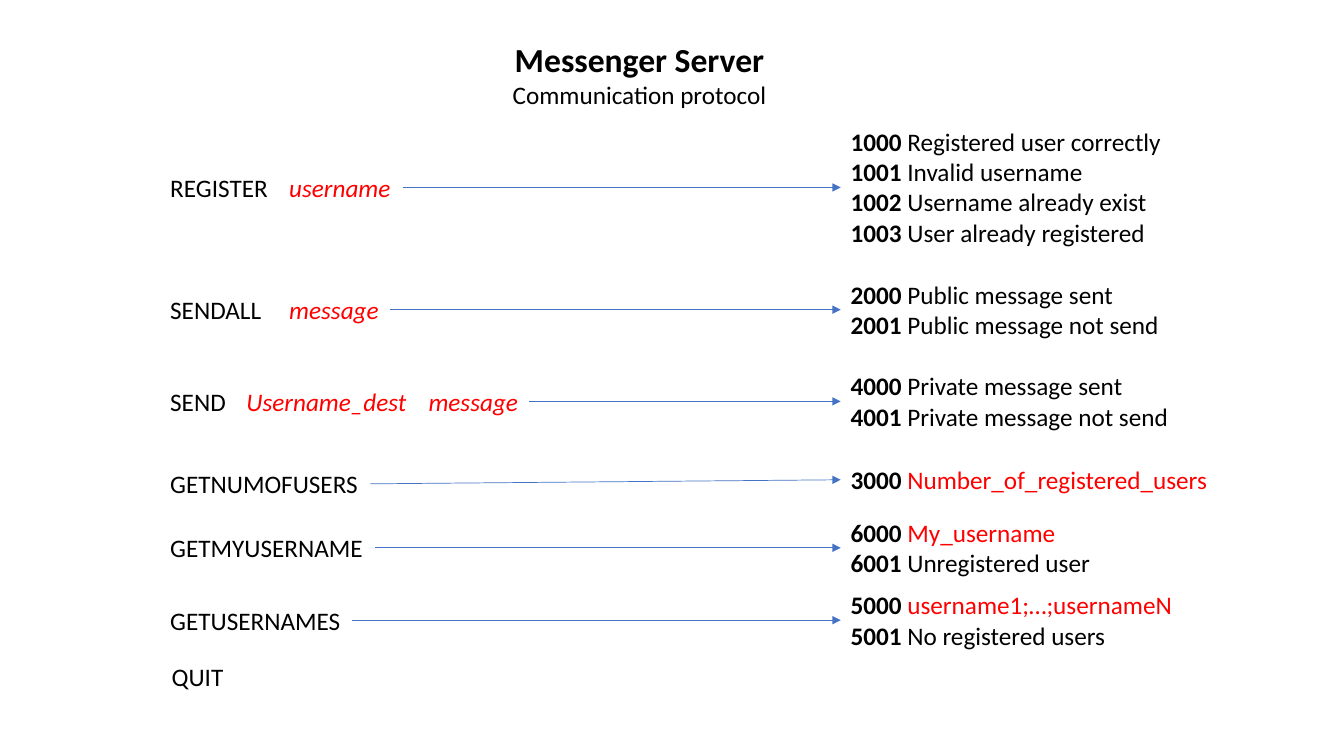
from lxml import etree
from pptx import Presentation
from pptx.dml.color import RGBColor
from pptx.enum.shapes import MSO_CONNECTOR
from pptx.enum.text import MSO_ANCHOR, MSO_AUTO_SIZE, PP_ALIGN
from pptx.oxml.ns import qn
from pptx.util import Pt

STRAIGHT = MSO_CONNECTOR.STRAIGHT
TOP = MSO_ANCHOR.TOP
GROW = MSO_AUTO_SIZE.SHAPE_TO_FIT_TEXT
LEFT, CENTER = PP_ALIGN.LEFT, PP_ALIGN.CENTER

BLACK = RGBColor(0x00, 0x00, 0x00)
RED = RGBColor(0xFF, 0x00, 0x00)
BLUE = RGBColor(0x44, 0x72, 0xC4)

FONT = "Calibri"
BODY_SIZE, TITLE_SIZE = 18, 24
LINE_HEIGHT, PADDING = 21.8, 7.2
COMMAND_LEFT, REPLY_LEFT, REPLY_WIDTH = 114.5, 600.5, 299.5
ARGUMENT_LEFT = 199.5

# Centre of the row, command and its width, arguments as (name, left, width),
# replies as (code, meaning, colour), centre of the replies
EXCHANGES = [
    (133.9, "REGISTER", 85, [("username", ARGUMENT_LEFT, 88.3)],
     [("1000", "Registered user correctly", BLACK),
      ("1001", "Invalid username", BLACK),
      ("1002", "Username already exist", BLACK),
      ("1003", "User already registered", BLACK)], 133.9),
    (221.2, "SENDALL", 80.5, [("message", ARGUMENT_LEFT, 79)],
     [("2000", "Public message sent", BLACK),
      ("2001", "Public message not send", BLACK)], 221.2),
    (286.7, "SEND", 54.5,
     [("Username_dest", 169, 130), ("message", 299, 79)],
     [("4000", "Private message sent", BLACK),
      ("4001", "Private message not send", BLACK)], 286.7),
    (345.6, "GETNUMOFUSERS", 150, [],
     [("3000", "Number_of_registered_users", RED)], 342.7),
    (391.3, "GETMYUSERNAME", 153.5, [],
     [("6000", "My_username", RED),
      ("6001", "Unregistered user", BLACK)], 391.3),
    (443, "GETUSERNAMES", 137, [],
     [("5000", "username1;…;usernameN", RED),
      ("5001", "No registered users", BLACK)], 443),
]


def add_text(slide, left, top, width, height, lines, wrap=False, align=LEFT):
    """Each line is a list of runs: (text, size, colour, bold, italic)."""
    box = slide.shapes.add_textbox(Pt(left), Pt(top), Pt(width), Pt(height))
    frame = box.text_frame
    frame.word_wrap = wrap
    frame.auto_size = GROW
    frame.vertical_anchor = TOP
    for index, line in enumerate(lines):
        paragraph = frame.add_paragraph() if index else frame.paragraphs[0]
        paragraph.alignment = align
        for text, size, colour, bold, italic in line:
            run = paragraph.add_run()
            run.text = text
            run.font.name = FONT
            run.font.size = Pt(size)
            run.font.color.rgb = colour
            run.font.bold = bold
            run.font.italic = italic


def add_word(slide, left, middle, width, word, colour=BLACK, italic=False):
    height = LINE_HEIGHT + PADDING
    add_text(slide, left, middle - height / 2, width, height,
             [[(word, BODY_SIZE, colour, False, italic)]])


def add_replies(slide, left, middle, width, replies):
    height = len(replies) * LINE_HEIGHT + PADDING
    lines = [[(code + " ", BODY_SIZE, BLACK, True, False),
              (meaning, BODY_SIZE, colour, False, False)]
             for code, meaning, colour in replies]
    add_text(slide, left, middle - height / 2, width, height, lines, wrap=True)


def add_arrow(slide, start_x, start_y, end_x, end_y):
    arrow = slide.shapes.add_connector(
        STRAIGHT, Pt(start_x), Pt(start_y), Pt(end_x), Pt(end_y))
    arrow.line.color.rgb = BLUE
    arrow.line.width = Pt(0.5)
    etree.SubElement(arrow.line._get_or_add_ln(), qn("a:tailEnd"), type="triangle")
    etree.SubElement(arrow._element.spPr, qn("a:effectLst"))


def add_exchange(slide, middle, command, width, arguments, replies, reply_middle):
    add_word(slide, COMMAND_LEFT, middle, width, command)
    arrow_start = COMMAND_LEFT + width
    for name, left, argument_width in arguments:
        add_word(slide, left, middle, argument_width, name, RED, italic=True)
        arrow_start = left + argument_width
    add_replies(slide, REPLY_LEFT, reply_middle, REPLY_WIDTH, replies)
    add_arrow(slide, arrow_start, middle, REPLY_LEFT, reply_middle)


def add_heading(slide, left, top, width, height):
    add_text(slide, left, top, width, height,
             [[("Messenger Server", TITLE_SIZE, BLACK, True, False)],
              [("Communication protocol", BODY_SIZE, BLACK, False, False)]],
             align=CENTER)


def main():
    presentation = Presentation()
    presentation.slide_width, presentation.slide_height = Pt(960), Pt(540)
    slide = presentation.slides.add_slide(presentation.slide_layouts[6])
    add_heading(slide, 357.8, 24.5, 198, 58.3)
    for exchange in EXCHANGES:
        add_exchange(slide, *exchange)
    add_word(slide, 115.5, 483.3, 52, "QUIT")
    presentation.save("out.pptx")


if __name__ == "__main__":
    main()
